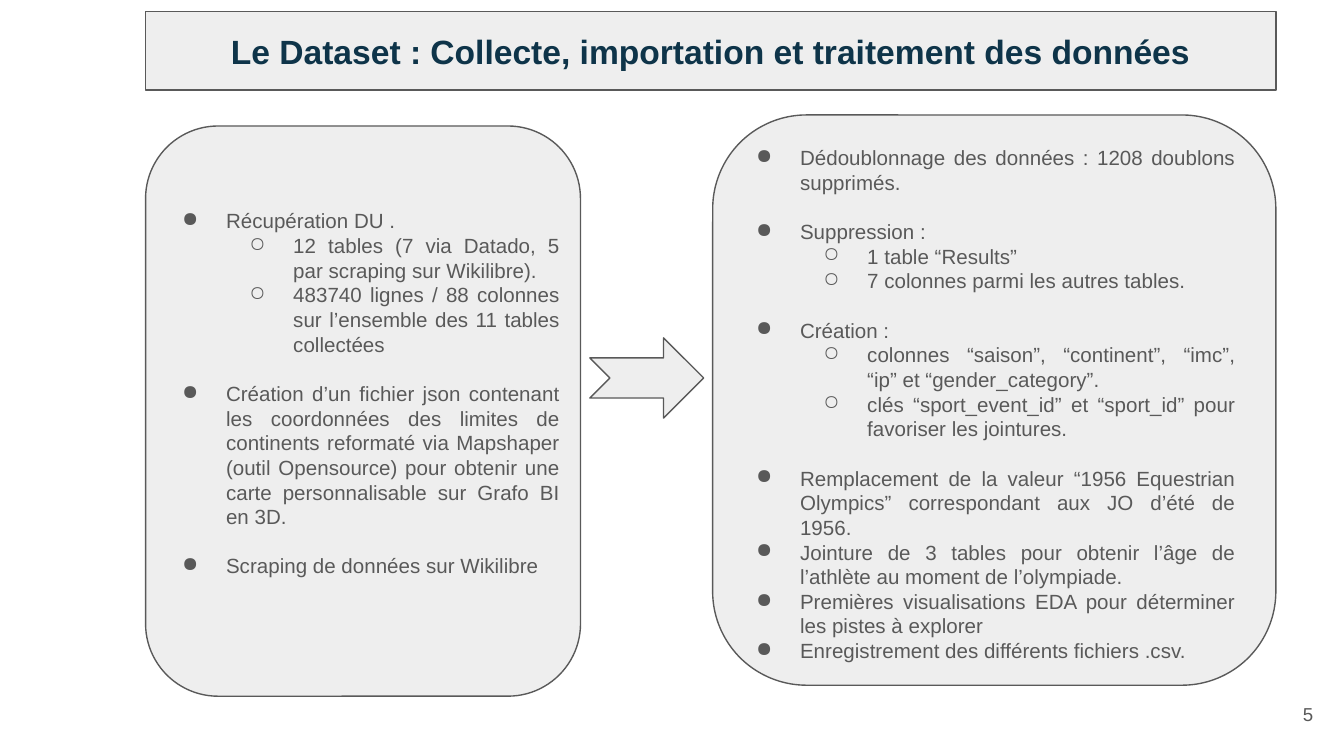
from lxml import etree
from pptx import Presentation
from pptx.dml.color import RGBColor
from pptx.enum.shapes import MSO_SHAPE
from pptx.enum.text import MSO_ANCHOR, MSO_AUTO_SIZE, PP_ALIGN
from pptx.oxml.ns import qn
from pptx.util import Pt

ROUND = MSO_SHAPE.ROUNDED_RECTANGLE
ARROW = MSO_SHAPE.NOTCHED_RIGHT_ARROW
TOP, MID = MSO_ANCHOR.TOP, MSO_ANCHOR.MIDDLE
CENTER, RIGHT, JUST = PP_ALIGN.CENTER, PP_ALIGN.RIGHT, PP_ALIGN.JUSTIFY
GREY, PALE, NAVY = "595959", "EEEEEE", "0E3449"
LINE = 13.2  # height of a text line
MARKS = "●○"

# Each item: level, gap above in lines, text
SOURCES = [
    (0, 0, "Récupération DU ."),
    (1, 0, "12 tables (7 via Datado, 5 par scraping sur Wikilibre)."),
    (1, 0, "483740 lignes / 88 colonnes sur l’ensemble des 11 tables collectées"),
    (0, 1, "Création d’un fichier json contenant les coordonnées des limites de "
           "continents reformaté via Mapshaper (outil Opensource) pour obtenir "
           "une carte personnalisable sur Grafo BI en 3D."),
    (0, 1, "Scraping de données sur Wikilibre"),
]
STEPS = [
    (0, 0, "Dédoublonnage des données : 1208 doublons supprimés."),
    (0, 1, "Suppression :"),
    (1, 0, "1 table “Results”"),
    (1, 0, "7 colonnes parmi les autres tables."),
    (0, 1, "Création :"),
    (1, 0, "colonnes “saison”, “continent”, “imc”, “ip” et “gender_category”."),
    (1, 0, "clés “sport_event_id” et “sport_id” pour favoriser les jointures."),
    (0, 1, "Remplacement de la valeur “1956 Equestrian Olympics” correspondant "
           "aux JO d’été de 1956."),
    (0, 0, "Jointure de 3 tables pour obtenir l’âge de l’athlète au moment de "
           "l’olympiade."),
    (0, 0, "Premières visualisations EDA pour déterminer les pistes à explorer"),
    (0, 0, "Enregistrement des différents fichiers .csv."),
]


def color(code):
    return RGBColor.from_string(code)


def paint(shape):
    shape.fill.solid()
    shape.fill.fore_color.rgb = color(PALE)
    shape.line.color.rgb = color(GREY)
    shape.line.width = Pt(0.75)


def add_panel(slide, kind, *box):
    shape = slide.shapes.add_shape(kind, *map(Pt, box))
    shape.shadow.inherit = False
    paint(shape)


def set_frame(frame, anchor):
    frame.word_wrap = True
    frame.auto_size = MSO_AUTO_SIZE.NONE
    frame.vertical_anchor = anchor
    frame.margin_left = frame.margin_right = Pt(7.2)
    frame.margin_top = frame.margin_bottom = Pt(7.2)


def add_run(para, text, size, code=GREY, bold=False):
    run = para.add_run()
    run.text = text
    font = run.font
    font.name, font.size, font.bold = "Arial", Pt(size), bold
    font.color.rgb = color(code)


def add_box(slide, anchor, *box):
    frame = slide.shapes.add_textbox(*map(Pt, box)).text_frame
    set_frame(frame, anchor)
    return frame


def set_bullet(para, level):
    props = para._p.get_or_add_pPr()
    props.set("marL", str(Pt(36 * (level + 1))))
    props.set("indent", str(Pt(-23.5)))
    tint = etree.SubElement(props, qn("a:buClr"))
    etree.SubElement(tint, qn("a:srgbClr"), val=GREY)
    etree.SubElement(props, qn("a:buChar"), char=MARKS[level])


def add_list(slide, items, *box):
    frame = add_box(slide, TOP, *box)
    for i, (level, gap, text) in enumerate(items):
        para = frame.add_paragraph() if i else frame.paragraphs[0]
        set_bullet(para, level)
        para.level = level
        para.alignment = JUST
        para.line_spacing = Pt(LINE)
        para.space_before = Pt(gap * LINE)
        add_run(para, text, 11)


def set_title(slide, text, *box):
    title = slide.shapes.title
    title.left, title.top, title.width, title.height = map(Pt, box)
    # Rounded outline on the placeholder itself
    geom = etree.SubElement(title._element.spPr, qn("a:prstGeom"), prst="roundRect")
    etree.SubElement(geom, qn("a:avLst"))
    paint(title)
    set_frame(title.text_frame, MID)
    para = title.text_frame.paragraphs[0]
    para.alignment = CENTER
    add_run(para, text, 18, NAVY, True)


def main():
    deck = Presentation()
    deck.slide_width, deck.slide_height = Pt(720), Pt(405)
    slide = deck.slides.add_slide(deck.slide_layouts[5])

    set_title(slide, "Le Dataset : Collecte, importation et traitement des données",
              78, 6.3, 605.5, 42)

    # Collection on the left
    add_panel(slide, ROUND, 78, 67.5, 233, 305.5)
    add_list(slide, SOURCES, 78, 104.4, 229, 244.8)

    # Processing on the right
    add_panel(slide, ROUND, 381.8, 61.6, 301.7, 305.5)
    add_list(slide, STEPS, 385.5, 70.5, 283.5, 299.5)

    add_panel(slide, ARROW, 316, 181, 61, 43)

    # Page number
    para = add_box(slide, MID, 667.4, 367.2, 43.2, 31).paragraphs[0]
    para.alignment = RIGHT
    add_run(para, "5", 10)

    deck.save("out.pptx")


if __name__ == "__main__":
    main()
